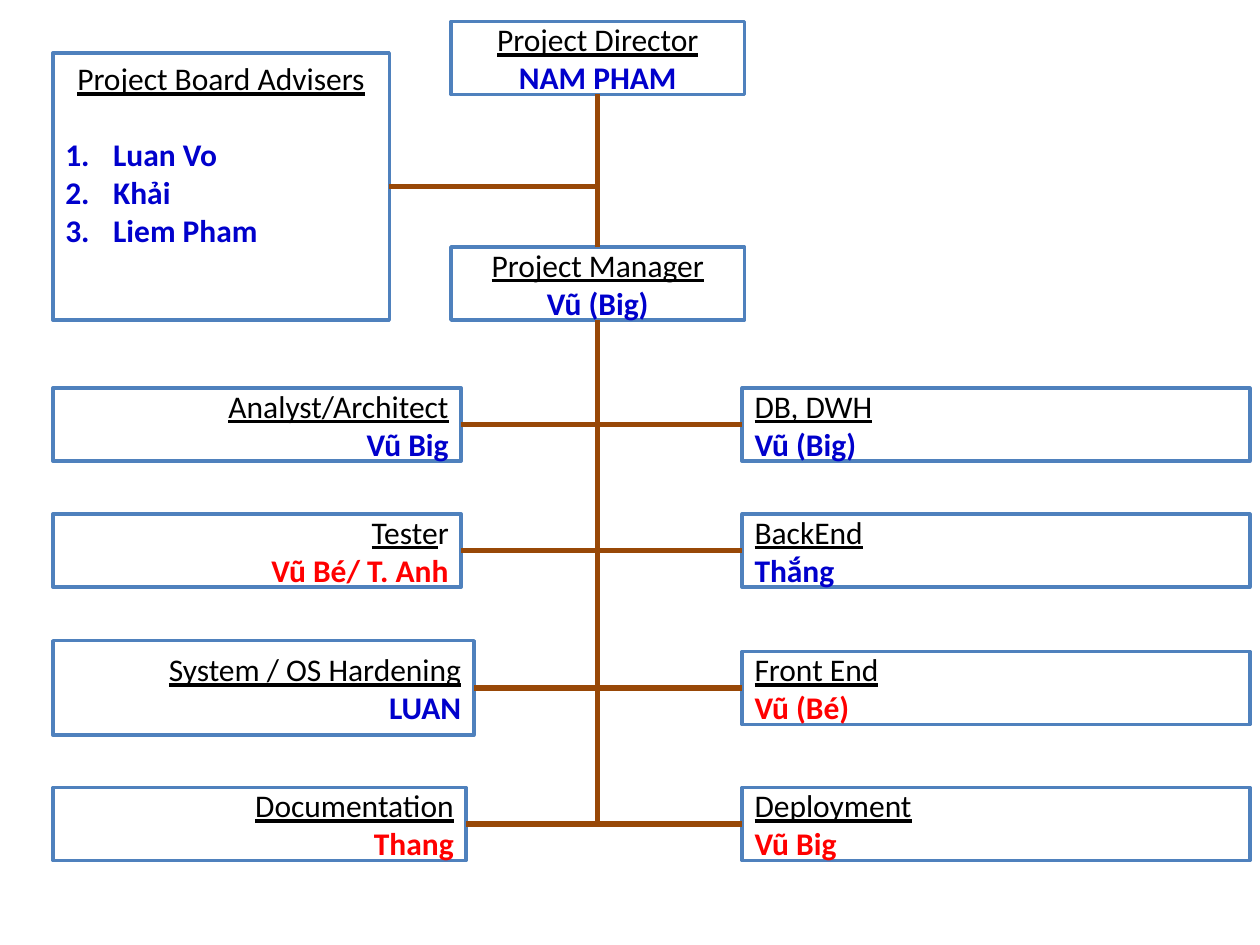
import pptx
import pptx.util
import pptx.dml.color
import pptx.enum.shapes
import pptx.enum.text
import pptx.oxml
import pptx.oxml.ns

Inches, Pt = pptx.util.Inches, pptx.util.Pt
ALIGN = pptx.enum.text.PP_ALIGN
ANCHOR = pptx.enum.text.MSO_ANCHOR
BLACK, WHITE, BLUE, RED = "000000", "FFFFFF", "0000CC", "FF0000"
BORDER, LINK = "4F81BD", "984807"
TOP, LEFT, BOTTOM, RIGHT = range(4)
ROLE = {"size": Pt(18), "name": "Calibri", "underline": True, "bold": False}
NAME = {"size": Pt(18), "name": "Calibri", "underline": False, "bold": True}
ROLE_END = {**ROLE, "underline": False}


def rgb(value):
    """Return the colour of a hex string."""
    return pptx.dml.color.RGBColor.from_string(value)


def add_run(p, text, color, fmt):
    """Add a run with the given colour and font values."""
    r = p.add_run()
    r.text = text
    r.font.color.rgb = rgb(color)
    for key, value in fmt.items():
        setattr(r.font, key, value)


def add_box(slide, box, anchor):
    """Add an outlined process box and return it."""
    kind = pptx.enum.shapes.MSO_SHAPE.FLOWCHART_PROCESS
    sp = slide.shapes.add_shape(kind, *map(Inches, box))
    sp.shadow.inherit = False
    sp.fill.solid()
    sp.fill.fore_color.rgb = rgb(WHITE)
    sp.line.color.rgb = rgb(BORDER)
    sp.line.width = Pt(2)
    sp.text_frame.word_wrap = True
    sp.text_frame.vertical_anchor = anchor
    return sp


def add_role(slide, box, align, role, name, color, role_end=""):
    """Add a box with an underlined role above a bold name."""
    sp = add_box(slide, box, ANCHOR.MIDDLE)
    tf = sp.text_frame
    title, person = tf.paragraphs[0], tf.add_paragraph()
    title.alignment = person.alignment = align
    add_run(title, role, BLACK, ROLE)
    if role_end:
        add_run(title, role_end, BLACK, ROLE_END)
    add_run(person, name, color, NAME)
    return sp


def add_advisers(slide, box, heading, names):
    """Add the advisers box with its numbered list."""
    sp = add_box(slide, box, ANCHOR.TOP)
    p = sp.text_frame.paragraphs[0]
    p.alignment = ALIGN.CENTER
    add_run(p, heading, BLACK, ROLE)
    for i, name in enumerate(names):
        p = sp.text_frame.add_paragraph()
        p.alignment = ALIGN.LEFT
        p.space_before = Pt(0 if i else 22)
        pPr = p._p.get_or_add_pPr()
        pPr.set("marL", str(Inches(0.38)))
        pPr.set("indent", str(-Inches(0.38)))
        bullet = pptx.oxml.parse_xml(
            f'<a:buAutoNum {pptx.oxml.ns.nsdecls("a")} type="arabicPeriod"/>')
        pPr.append(bullet)
        add_run(p, name, BLUE, NAME)
    return sp


def add_link(slide, start, start_site, end, end_site, kind="STRAIGHT"):
    """Add a connector glued to two boxes."""
    kind = getattr(pptx.enum.shapes.MSO_CONNECTOR, kind)
    cn = slide.shapes.add_connector(kind, 0, 0, 0, 0)
    cn.begin_connect(start, start_site)
    cn.end_connect(end, end_site)
    cn.line.color.rgb = rgb(LINK)
    cn.line.width = Pt(3)
    spPr = cn._element.spPr
    spPr.append(pptx.oxml.parse_xml(f'<a:effectLst {pptx.oxml.ns.nsdecls("a")}/>'))
    return cn


def add_elbow(slide, start, start_site, end, end_site):
    """Add a glued connector with one corner, turned if it starts downwards."""
    cn = add_link(slide, start, start_site, end, end_site, "ELBOW")
    spPr = cn._element.spPr
    spPr.prstGeom.set("prst", "bentConnector2")
    if start_site == BOTTOM:
        w, h = cn.width, cn.height
        cn.left, cn.top = cn.left + (w - h) // 2, cn.top + (h - w) // 2
        cn.width, cn.height = h, w
        rightwards = end_site == LEFT
        spPr.xfrm.set("rot", str((270 if rightwards else 90) * 60000))
        spPr.xfrm.set("flipH", str(int(rightwards)))


def add_leaders(slide, x, y):
    """Add director, manager and advisers with their links; return the manager."""
    director = add_role(slide, (x + 3.16, y, 2.33, 0.58), ALIGN.CENTER,
                        "Project Director", "NAM PHAM", BLUE)
    manager = add_role(slide, (x + 3.16, y + 1.79, 2.33, 0.58), ALIGN.CENTER,
                       "Project Manager", "Vũ (Big)", BLUE)
    advisers = add_advisers(slide, (x, y + 0.25, 2.67, 2.12), "Project Board Advisers",
                            ["Luan Vo", "Khải", "Liem Pham"])
    add_link(slide, director, BOTTOM, manager, TOP)
    add_elbow(slide, advisers, RIGHT, director, BOTTOM)
    return manager


def add_team(slide, x, y, manager):
    """Add the two columns of team roles and link them to the manager."""
    offsets = [0, 1, 2.09, 3.17]
    left = [(3.24, 0.58, "Analyst/Architect", "Vũ Big", BLUE),
            (3.24, 0.58, "Teste", "Vũ Bé/ T. Anh", RED, "r"),
            (3.34, 0.75, "System / OS Hardening", "LUAN", BLUE),
            (3.28, 0.58, "Documentation", "Thang", RED)]
    right = [("DB, DWH", "Vũ (Big)", BLUE), ("BackEnd", "Thắng", BLUE),
             ("Front End", "Vũ (Bé)", RED), ("Deployment", "Vũ Big", RED)]
    for dy, (w, h, *texts), other in zip(offsets, left, right):
        box = (x, y + dy + (0.58 - h) / 2, w, h)
        sp = add_role(slide, box, ALIGN.RIGHT, *texts)
        add_elbow(slide, manager, BOTTOM, sp, RIGHT)
        sp = add_role(slide, (x + 5.47, y + dy, 4.03, 0.58), ALIGN.LEFT, *other)
        add_elbow(slide, manager, BOTTOM, sp, LEFT)


def main():
    """Build the project organisation chart."""
    prs = pptx.Presentation()
    prs.slide_width, prs.slide_height = Inches(10), Inches(7.5)
    slide = prs.slides.add_slide(prs.slide_layouts[6])
    manager = add_leaders(slide, 0.42, 0.17)
    add_team(slide, 0.42, 3.08, manager)
    prs.save("out.pptx")


if __name__ == "__main__":
    main()
